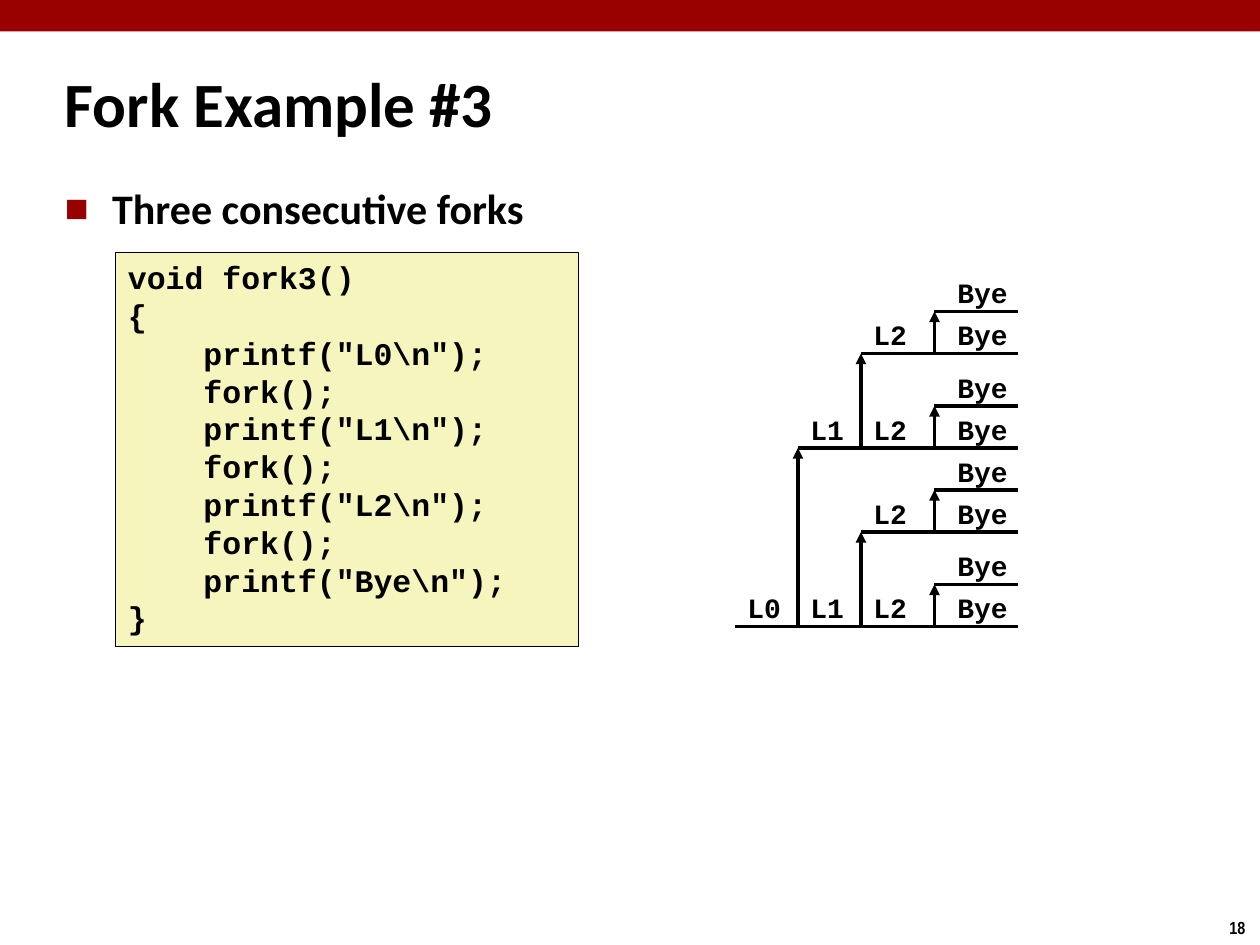
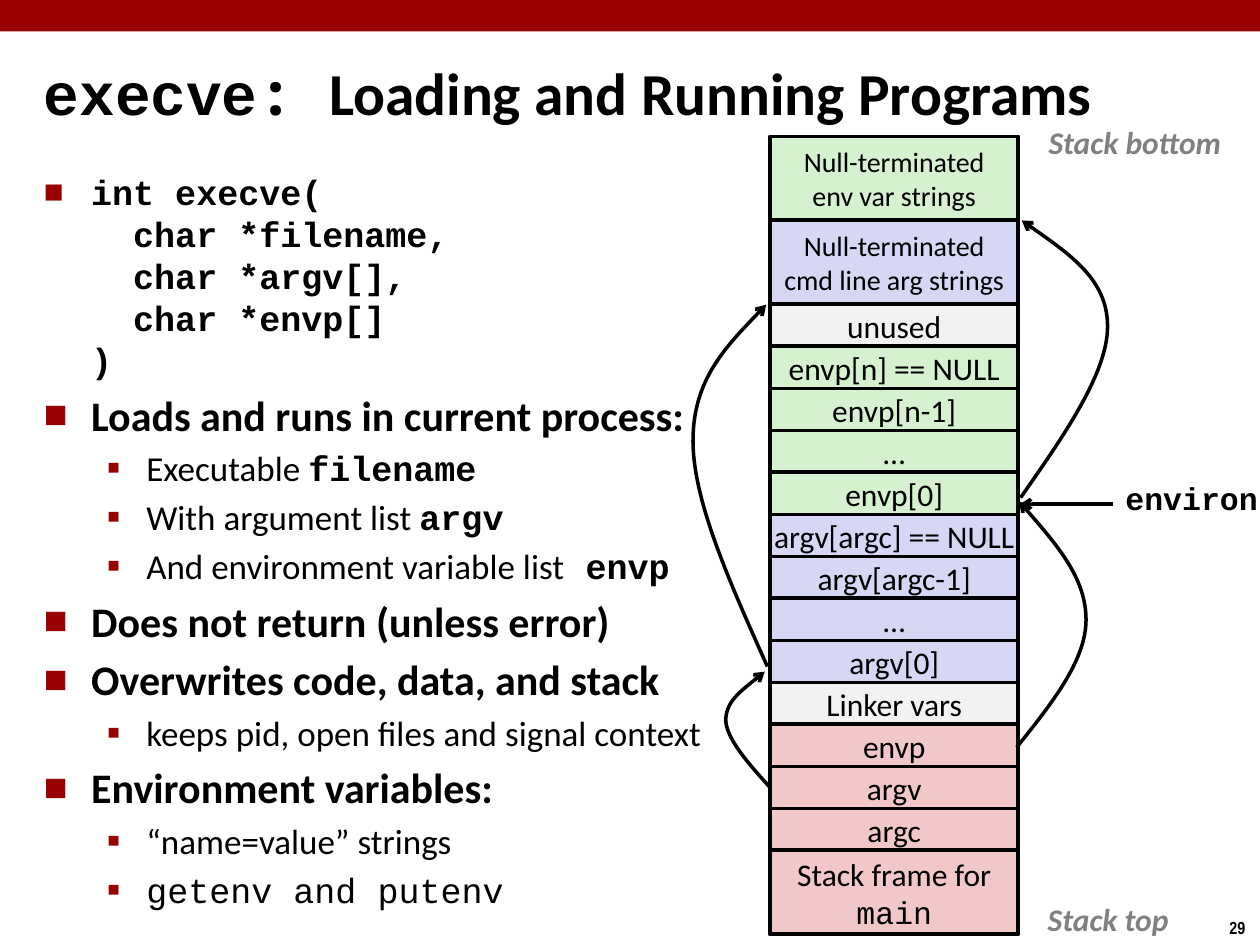
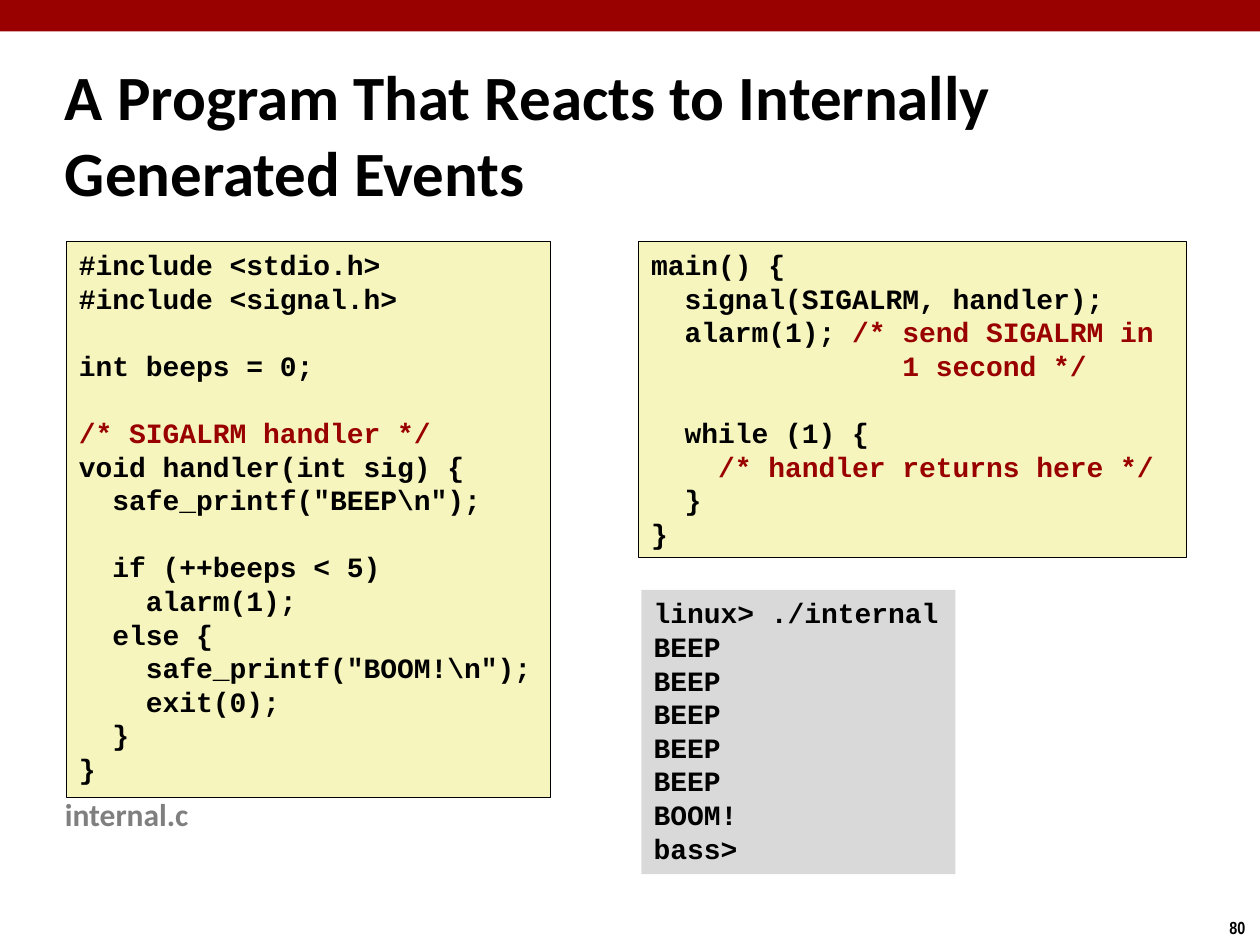
from lxml import etree
from pptx import Presentation
from pptx.dml.color import RGBColor
from pptx.enum import shapes, text
from pptx.oxml.ns import qn
from pptx.util import Pt

BLACK, RED, GRAY = "000000", "990000", "808080"
CODE_FILL, SHELL_FILL = "F6F5BD", "D9D9D9"
GREEN, BLUE, PALE, PINK = "D5F1CF", "D6D6F5", "F2F2F2", "F1C7C7"
SANS, MONO = "Calibri", "Courier New"
BULLETS = [("■", 60, 27, 27), ("▪", 110, 58.5, 22.5)]

FORK_CODE = r"""void fork3()
{
    printf("L0\n");
    fork();
    printf("L1\n");
    fork();
    printf("L2\n");
    fork();
    printf("Bye\n");
}"""
HANDLER_CODE = r"""#include <stdio.h>
#include <signal.h>
 
int beeps = 0;
 
/* SIGALRM handler */
void handler(int sig) {
  safe_printf("BEEP\n");
 
  if (++beeps < 5)
    alarm(1);
  else {
    safe_printf("BOOM!\n");
    exit(0);
  }
}"""
MAIN_CODE = r"""main() {
  signal(SIGALRM, handler);
  alarm(1); /* send SIGALRM in
               1 second */
 
  while (1) {
    /* handler returns here */
  }
}"""
SHELL_LINES = ["linux> ./internal"] + ["BEEP"] * 5 + ["BOOM!", "bass>"]

FORK_STEPS = [("L0", 420, 456, 102), ("L1", 456, 492, 54),
              ("L2", 492, 534, 24), ("Bye", 540, None, 0)]
FORK_END = 582

CODE_RUN = dict(font=MONO, bold=True)
EXECVE_TITLE = [[("execve", dict(font=MONO)), (": ", dict(font="Noto Sans Mono")),
                 ("Loading and Running Programs", {})]]
EXECVE_POINTS = [
    (0, 20, [("int execve(\n  char *filename,\n  char *argv[],\n  char *envp[]\n)", CODE_RUN)]),
    (0, 24, "Loads and runs in current process:"),
    (1, 20, [("Executable ", {}), ("filename", CODE_RUN)]),
    (1, 20, [("With argument list ", {}), ("argv", CODE_RUN)]),
    (1, 20, [("And environment variable list", {}), (" envp", CODE_RUN)]),
    (0, 24, "Does not return (unless error)"),
    (0, 24, "Overwrites code, data, and stack"),
    (1, 20, "keeps pid, open files and signal context"),
    (0, 24, "Environment variables:"),
    (1, 20, "“name=value” strings"),
    (1, 20, [("getenv and putenv", dict(font=MONO))]),
]
STACK = [
    (GREEN, 16, ["Null-terminated", "env var strings"]),
    (BLUE, 16, ["Null-terminated", "cmd line arg strings"]),
    (PALE, 18, ["unused"]),
    (GREEN, 18, ["envp[n] == NULL"]),
    (GREEN, 18, ["envp[n-1]"]),
    (GREEN, 18, ["…"]),
    (GREEN, 18, ["envp[0]"]),
    (BLUE, 18, ["argv[argc] == NULL"]),
    (BLUE, 18, ["argv[argc-1]"]),
    (BLUE, 18, ["…"]),
    (BLUE, 18, ["argv[0]"]),
    (PALE, 18, ["Linker vars"]),
    (PINK, 18, ["envp"]),
    (PINK, 18, ["argv"]),
    (PINK, 18, ["argc"]),
    (PINK, 18, ["Stack frame for", [("main", dict(font=MONO))]]),
]
STACK_X, STACK_Y, STACK_W, ROW_H = 440, 78, 142, 24
POINTER_CURVES = [
    [(440, 450), (427.7, 436.3), (415.4, 422.6), (414.7, 411.8), (414.7, 401), (426.2, 392.6), (437, 383.8)],
    [(438.5, 380.9), (417.6, 334.1), (396, 286.6), (396, 252), (396, 217.4), (416.9, 195.8), (437.8, 174.2)],
    [(581, 427), (601.2, 401.8), (620.6, 377.3), (620.6, 354.2), (620.6, 330.5), (601.9, 308.9), (582.5, 286.6)],
    [(583.2, 284.4), (608.4, 248.4), (632.9, 213.1), (632.9, 186.5), (632.9, 159.8), (608.4, 143.3), (583.9, 126)],
]


def rgb(value):
    return RGBColor.from_string(value)


def put(parent, tag, **attrs):
    return etree.SubElement(parent, qn(tag), attrs)


def write(tf, paras, size=18, font=SANS, color=BLACK, bold=False, italic=False,
          align=None, anchor=None, wrap=False, grow=False):
    tf.word_wrap = wrap
    tf.auto_size = text.MSO_AUTO_SIZE.SHAPE_TO_FIT_TEXT if grow else text.MSO_AUTO_SIZE.NONE
    tf.vertical_anchor = anchor or text.MSO_ANCHOR.TOP
    for i, para in enumerate(paras):
        p = tf.paragraphs[0] if i == 0 else tf.add_paragraph()
        p.alignment = align or text.PP_ALIGN.LEFT
        add_runs(p, para, dict(size=size, font=font, color=color, bold=bold, italic=italic))


def add_runs(p, para, base):
    for content, changes in [(para, {})] if isinstance(para, str) else para:
        fmt = {**base, **changes}
        for n, line in enumerate(content.split("\n")):
            if n:
                p.add_line_break()
            r = p.add_run()
            r.text = line
            r.font.size, r.font.name = Pt(fmt["size"]), fmt["font"]
            r.font.bold, r.font.italic = fmt["bold"], fmt["italic"]
            r.font.color.rgb = rgb(fmt["color"])


def add_text(s, x, y, w, h, paras, **fmt):
    sp = s.shapes.add_textbox(Pt(x), Pt(y), Pt(w), Pt(h))
    write(sp.text_frame, paras, **fmt)
    return sp


def add_box(s, x, y, w, h, fill, line=None, paras=(), **fmt):
    sp = s.shapes.add_shape(shapes.MSO_SHAPE.RECTANGLE, Pt(x), Pt(y), Pt(w), Pt(h))
    sp.shadow.inherit = False
    sp.fill.solid()
    sp.fill.fore_color.rgb = rgb(fill)
    if line:
        sp.line.color.rgb = rgb(BLACK)
        sp.line.width = Pt(line)
    else:
        sp.line.fill.background()
    write(sp.text_frame, paras, **fmt)


def add_bullets(s, x, y, w, h, points):
    tf = add_text(s, x, y, w, h, [], wrap=True).text_frame
    tf.margin_top = Pt(3.6 + 0.2 * points[0][1])
    for i, (level, size, para) in enumerate(points):
        p = tf.paragraphs[0] if i == 0 else tf.add_paragraph()
        char, scale, left, hang = BULLETS[level]
        p.level = level
        pPr = p._p.get_or_add_pPr()
        pPr.set("marL", str(Pt(left)))
        pPr.set("indent", str(-Pt(hang)))
        put(put(pPr, "a:buClr"), "a:srgbClr", val=RED)
        put(pPr, "a:buSzPct", val=str(scale * 1000))
        put(pPr, "a:buFont", typeface=SANS)
        put(pPr, "a:buChar", char=char)
        if i:
            p.space_before = Pt(0.2 * size)
        add_runs(p, para, dict(size=size, font=SANS, color=BLACK, bold=level == 0, italic=False))


def style_line(sp, head=None):
    sp.line.color.rgb = rgb(BLACK)
    sp.line.width = Pt(2)
    if head:
        put(sp.line._get_or_add_ln(), "a:tailEnd", type=head)


def add_line(s, x1, y1, x2, y2, head=None):
    sp = s.shapes.add_connector(shapes.MSO_CONNECTOR.STRAIGHT, Pt(x1), Pt(y1), Pt(x2), Pt(y2))
    style_line(sp, head)
    put(sp._element.spPr, "a:effectLst")


def add_curve(s, points):
    start, *rest = [(Pt(x), Pt(y)) for x, y in points]
    builder = s.shapes.build_freeform(*start)
    builder.add_line_segments(rest, close=False)
    sp = builder.convert_to_shape()
    sp.shadow.inherit = False
    sp.fill.background()
    style_line(sp, "arrow")
    outline = next(sp._element.iter(qn("a:path")))
    segments = outline.findall(qn("a:lnTo"))
    for i in range(0, len(segments), 3):
        bezier = put(outline, "a:cubicBezTo")
        for segment in segments[i:i + 3]:
            bezier.append(segment[0])
            outline.remove(segment)


def code_paras(code):
    paras, color = [], BLACK
    for line in code.split("\n"):
        before, mark, after = line.partition("/*")
        runs = [(before, dict(color=color))] if before else []
        if mark:
            color = RED
            runs.append((mark + after, dict(color=color)))
        if line.endswith("*/"):
            color = BLACK
        paras.append(runs)
    return paras


def add_code(s, x, y, w, h, code, size=16):
    add_box(s, x, y, w, h, CODE_FILL, 0.25, code_paras(code), size=size, grow=True, **CODE_RUN)


def new_slide(prs, number, title, x, y, w, h, size=36):
    s = prs.slides.add_slide(prs.slide_layouts[6])
    add_box(s, 0, 0, 720, 18, RED)
    add_text(s, 695.5, 520.5, 24.5, 19.5, [str(number)], size=10, font="Arial Narrow", bold=True, grow=True)
    add_text(s, x, y, w, h, title, size=size, bold=True, wrap=True, anchor=text.MSO_ANCHOR.MIDDLE)
    return s


def draw_process(s, y, x, first=0):
    add_line(s, x, y, FORK_END, y)
    for i, (label, label_x, fork_x, rise) in enumerate(FORK_STEPS[first:], first):
        add_text(s, label_x, y - 24, 14.4 + 9.6 * len(label), 26.6, [label], size=16, grow=True, **CODE_RUN)
        if rise:
            add_line(s, fork_x, y, fork_x, y - rise, "triangle")
            draw_process(s, y - rise, fork_x, i + 1)


def fork_slide(prs):
    s = new_slide(prs, 18, ["Fork Example #3"], 30, 36, 401, 45)
    add_bullets(s, 30, 96, 622, 60, [(0, 24, "Three consecutive forks")])
    add_code(s, 66, 144, 264.5, 225.3, FORK_CODE, size=18)
    draw_process(s, 358, FORK_STEPS[0][1])


def execve_slide(prs):
    s = new_slide(prs, 29, EXECVE_TITLE, 18, 30, 678, 45, size=34)
    add_bullets(s, 18, 90, 420, 426, EXECVE_POINTS)
    y = STACK_Y
    for fill, size, lines in STACK:
        h = ROW_H * len(lines)
        add_box(s, STACK_X, y, STACK_W, h, fill, 2.25, lines, size=size,
                align=text.PP_ALIGN.CENTER, anchor=text.MSO_ANCHOR.MIDDLE)
        y += h
    for curve in POINTER_CURVES:
        add_curve(s, curve)
    for label, top, w in [("Stack bottom", 66.5, 119), ("Stack top", 511, 88.5)]:
        add_text(s, 589, top, w, 29, [label], color=GRAY, bold=True, italic=True,
                 align=text.PP_ALIGN.CENTER, grow=True)
    add_text(s, 636, 270, 90.5, 29, ["environ"], grow=True, **CODE_RUN)
    add_line(s, 636, 288, 583, 288, "arrow")


def signal_slide(prs):
    s = new_slide(prs, 80, ["A Program That Reacts to Internally Generated Events"], 30, 33, 666, 86.5)
    add_code(s, 38, 138, 276.5, 317.5, HANDLER_CODE)
    add_code(s, 365, 138, 313, 180.7, MAIN_CODE)
    add_box(s, 366.5, 337, 179.5, 162.5, SHELL_FILL, None, SHELL_LINES, size=16, grow=True, **CODE_RUN)
    add_text(s, 30, 451, 85.5, 29, ["internal.c"], color="7F7F7F", bold=True, grow=True)


def main():
    prs = Presentation()
    prs.slide_width, prs.slide_height = Pt(720), Pt(540)
    fork_slide(prs)
    execve_slide(prs)
    signal_slide(prs)
    prs.save("out.pptx")


if __name__ == "__main__":
    main()
